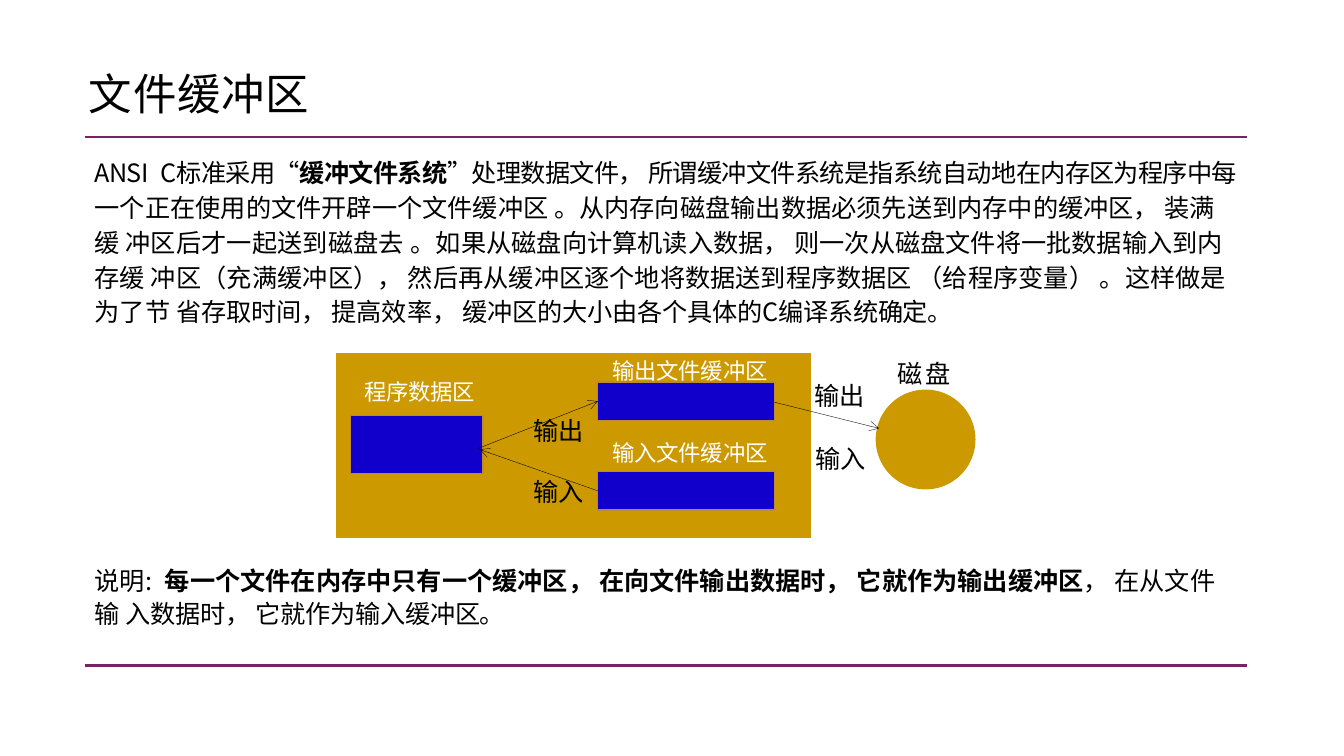
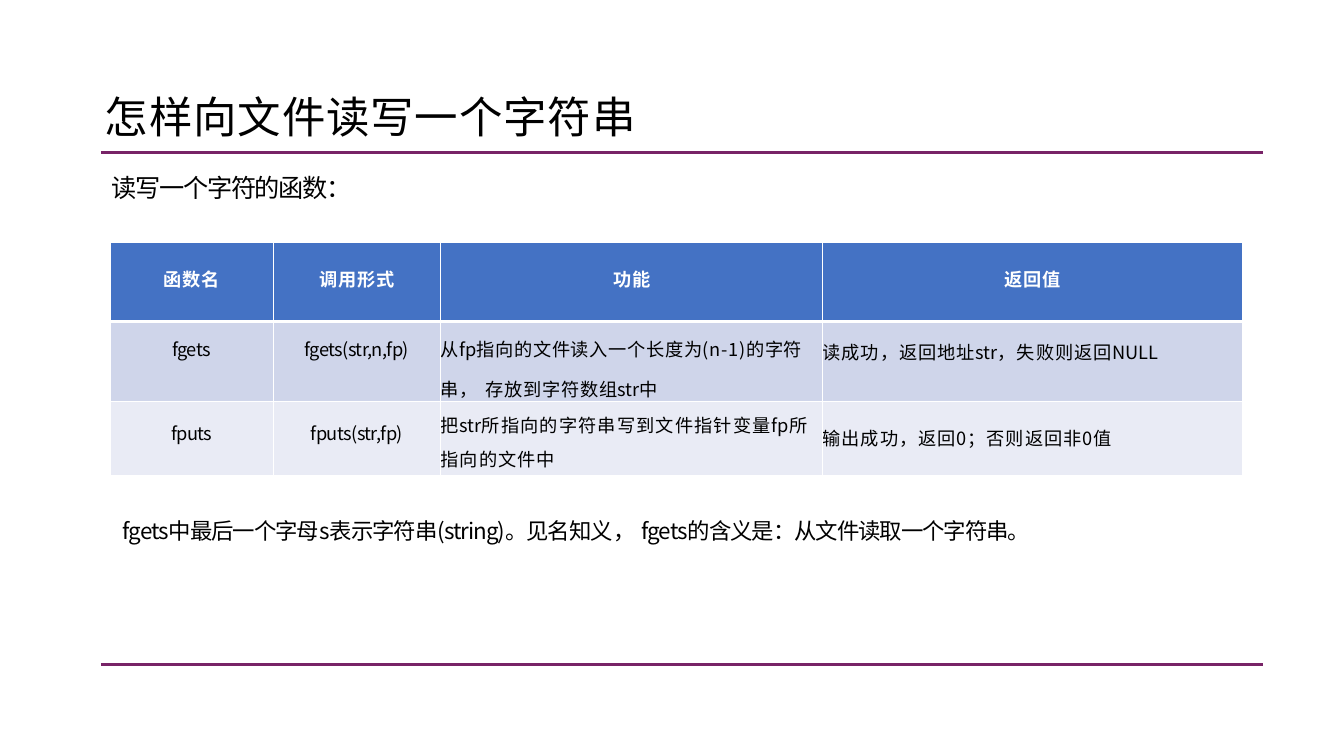
from lxml import etree
from pptx import Presentation
from pptx import util as u
from pptx.dml.color import RGBColor
from pptx.enum import shapes, text
from pptx.oxml.ns import qn

FONT = "Noto Sans CJK SC"
BLACK, WHITE = "000000", "FFFFFF"
PURPLE, GOLD, BLUE, BROWN = "782367", "CC9900", "1100CC", "BC8A32"
HEADER_FILL, ROW_FILLS = "4472C4", ("CFD5EA", "E9EBF5")
RULE_WIDTH = 11.53
LEFT, CENTER = text.PP_ALIGN.LEFT, text.PP_ALIGN.CENTER

BUFFER_TEXT = [
    ("ANSI", {"spacing": -0.5}),
    (" ", {"spacing": 4.5}),
    ("C标准采用“", {"spacing": -0.5}),
    ("缓冲文件系统", {"spacing": -0.5, "bold": True}),
    ("”处理数据文件， 所谓缓冲文件系统是指系统自动地", {"spacing": -0.5}),
    ("在内存区为程序中每", {"spacing": -0.6}),
    (" 一个正在使用的文件开辟一个文件缓冲区 。从内存向磁盘输出数据必须先送到内存中的缓冲区， 装满缓 ", {}),
    ("冲区后才一起送到磁盘去 。如", {"spacing": 0.1}),
    ("果从磁盘向计算机读入数据， 则一次从磁盘文件将一批数据输入到内存缓 ", {}),
    ("冲区（充满缓冲区", {"spacing": 0.1}),
    ("）， ", {"spacing": -0.7}),
    ("然", {"spacing": 0.1}),
    ("后再从缓冲区逐个地将数据送到程序数据区 （给程序变量） 。这样做是为了节 ", {}),
    ("省存取时间， 提高效率， 缓", {"spacing": -0.1}),
    ("冲区的大小由各个具体的C编译系统确定。", {"spacing": -0.2}),
]
NOTE_TEXT = [
    ("说明:", {}),
    (" ", {"spacing": 5}),
    ("每一个文件在内存中只有一个缓冲区， 在向文件输出数据时， 它就作为输出缓冲区", {"bold": True}),
    ("， 在从文件输 ", {}),
    ("入数据时， 它就作为输入缓冲区。", {"spacing": -0.2}),
]
NAMING_TEXT = [
    ("fgets中最后一个字母s表示字符串(string)。见名知义", {}),
    ("， ", {"spacing": 0.5}),
    ("fgets的含义是：从文件读取一个字符串。", {}),
]


def color(value):
    return RGBColor.from_string(value)


def place(shape, left, top, width, height):
    shape.left, shape.top = u.Inches(left), u.Inches(top)
    shape.width, shape.height = u.Inches(width), u.Inches(height)


def write(frame, content, size=18, ink=BLACK, bold=False, spacing=0,
          align=LEFT, pitch=None):
    """Fill a frame with one paragraph; content is a string or (text, format) runs."""
    frame.word_wrap = True
    frame.margin_left = frame.margin_top = frame.margin_right = frame.margin_bottom = 0
    frame.vertical_anchor = text.MSO_ANCHOR.TOP
    paragraph = frame.paragraphs[0]
    properties = paragraph._p.get_or_add_pPr()
    properties.set("marL", "0")
    properties.set("indent", "0")
    etree.SubElement(properties, qn("a:buNone"))
    paragraph.alignment = align
    paragraph.space_before = u.Pt(0)
    paragraph.line_spacing = u.Pt(pitch or size * 1.2)
    runs = [(content, {})] if isinstance(content, str) else content
    for words, options in runs:
        run = paragraph.add_run()
        run.text = words
        run.font.size = u.Pt(size)
        run.font.bold = options.get("bold", bold)
        run.font.color.rgb = color(ink)
        run.font.name = FONT
        run_properties = run.font._element
        run_properties.set("spc", str(round(options.get("spacing", spacing) * 100)))
        etree.SubElement(run_properties, qn("a:ea"), typeface=FONT)


def add_text(slide, content, left, top, width, height=0.3, **style):
    box = slide.shapes.add_textbox(0, 0, 0, 0)
    place(box, left, top, width, height)
    write(box.text_frame, content, **style)


def fill_placeholder(placeholder, content, box, **style):
    place(placeholder, *box)
    placeholder.text_frame.auto_size = text.MSO_AUTO_SIZE.NONE
    write(placeholder.text_frame, content, **style)


def add_gold_block(slide, kind, left, top, width, height):
    shape = slide.shapes.add_shape(kind, 0, 0, 0, 0)
    place(shape, left, top, width, height)
    shape.shadow.inherit = False
    shape.fill.solid()
    shape.fill.fore_color.rgb = color(GOLD)
    shape.line.color.rgb = color(GOLD)
    shape.line.width = u.Pt(0.75)


def add_line(slide, start, end, stroke=BLACK, width=0.25, arrow=False):
    points = [u.Inches(value) for value in (*start, *end)]
    line = slide.shapes.add_connector(shapes.MSO_CONNECTOR.STRAIGHT, *points)
    line.line.color.rgb = color(stroke)
    line.line.width = u.Pt(width)
    if arrow:
        etree.SubElement(line.line._ln, qn("a:tailEnd"), type="arrow")
    etree.SubElement(line._element.spPr, qn("a:effectLst"))


def add_table(slide, left, top, widths, heights):
    frame = slide.shapes.add_table(
        len(heights), len(widths), u.Inches(left), u.Inches(top),
        u.Inches(sum(widths)), u.Inches(sum(heights)))
    table = frame.table
    table.first_row = table.horz_banding = False
    for column, width in zip(table.columns, widths):
        column.width = u.Inches(width)
    for row, height in zip(table.rows, heights):
        row.height = u.Inches(height)
    return table


def paint_cell(cell, fill, border, bottom=1):
    """Give a cell its fill and four borders, and no margins."""
    properties = cell._tc.get_or_add_tcPr()
    for side, width in (("L", 1), ("R", 1), ("T", 1), ("B", bottom)):
        line = etree.SubElement(properties, qn("a:ln" + side), w=str(u.Pt(width)))
        solid = etree.SubElement(line, qn("a:solidFill"))
        etree.SubElement(solid, qn("a:srgbClr"), val=border)
    cell.fill.solid()
    cell.fill.fore_color.rgb = color(fill)
    cell.margin_left = cell.margin_top = cell.margin_right = cell.margin_bottom = 0


def fill_cell(cell, content, fill, top=0, bottom=1, **style):
    write(cell.text_frame, content, size=13, **style)
    paint_cell(cell, fill, WHITE, bottom)
    cell.margin_top = u.Inches(top)
    if style.get("align", LEFT) == LEFT:
        cell.margin_right = u.Inches(0.05)
    cell.vertical_anchor = text.MSO_ANCHOR.TOP


def add_ruled_slide(presentation, title, left, title_top, rules):
    """Add a slide with its title and the two purple rules."""
    slide = presentation.slides.add_slide(presentation.slide_layouts[1])
    fill_placeholder(slide.shapes.title, title, (left + 0.04, title_top, 11.4, 0.55),
                     size=31, spacing=0.7)
    for y in rules:
        add_line(slide, (left, y), (left + RULE_WIDTH, y), stroke=PURPLE, width=2)
    return slide


def add_buffer_diagram(slide, left, top):
    add_gold_block(slide, shapes.MSO_SHAPE.RECTANGLE, left, top, 4.7, 1.82)
    add_gold_block(slide, shapes.MSO_SHAPE.OVAL, left + 5.35, top + 0.36, 0.98, 0.98)
    for x, y, width, height in ((2.59, 0.28, 1.75, 0.38),
                                (0.14, 0.61, 1.31, 0.58),
                                (2.59, 1.17, 1.75, 0.38)):
        area = add_table(slide, left + x, top + y, [width], [height])
        paint_cell(area.cell(0, 0), BLUE, BROWN)

    for words, x, y, width in (("程序数据区", 0.06, 0.24, 1.52),
                               ("输出文件缓冲区", 2.46, 0.03, 2.09),
                               ("输入文件缓冲区", 2.46, 0.85, 2.09)):
        add_text(slide, words, left + x, top + y, width,
                 size=16, ink=WHITE, spacing=-0.2, align=CENTER)
    for words, x, y, spacing in (("输出", 1.95, 0.61, -0.3), ("输入", 1.95, 1.22, -0.3),
                                 ("输出", 4.74, 0.26, -0.3), ("输入", 4.75, 0.89, -0.4),
                                 ("磁盘", 5.56, 0.05, 2.4)):
        add_text(slide, words, left + x, top + y, 0.65, spacing=spacing)

    for x1, y1, x2, y2 in ((4.34, 0.48, 5.38, 0.74),
                           (1.4, 0.94, 2.59, 0.47),
                           (2.59, 1.36, 1.42, 0.95)):
        add_line(slide, (left + x1, top + y1), (left + x2, top + y2), arrow=True)


def add_function_table(slide, left, top):
    table = add_table(slide, left, top, (1.62, 1.66, 3.79, 4.16), (0.79, 0.73, 0.73))
    headings = (("函数名", 0.3), ("调用形式", 0.7), ("功能", 0.6), ("返回值", 0.6))
    for index, (heading, spacing) in enumerate(headings):
        fill_cell(table.cell(0, index), heading, HEADER_FILL, top=0.28, bottom=3,
                  ink=WHITE, bold=True, spacing=spacing, align=CENTER)

    name = {"align": CENTER, "spacing": -0.4}
    plain = {"spacing": 0}
    rows = (
        (("fgets", {"top": 0.18, **name}),
         ("fgets(str,n,fp)", {"top": 0.18, **name}),
         ([("从", {}), ("fp", plain), ("指向的文件读入一个长度为(n-1)的字符串", {}),
           ("， ", {"spacing": 1.5}), ("存放到字符数组", {}), ("str", plain), ("中", {})],
          {"spacing": 0.5, "pitch": 28.6}),
         ([("读成功，返回地址", {}), ("str", plain), ("，失败则返回", {}), ("NULL", plain)],
          {"top": 0.21, "spacing": 0.7})),
        (("fputs", {"top": 0.22, **name}),
         ("fputs(str,fp)", {"top": 0.22, **name}),
         ([("把", {}), ("str", plain), ("所指向的字符串写到文件指针变量", {}),
           ("fp", plain), ("所指向的文件中", {"spacing": 0.8})],
          {"spacing": 0.85, "pitch": 24.3, "top": 0.02}),
         ("输出成功，返回0；否则返回非0值", {"top": 0.27, "spacing": 0.7})),
    )
    for row_index, (row, fill) in enumerate(zip(rows, ROW_FILLS), 1):
        for column_index, (content, style) in enumerate(row):
            fill_cell(table.cell(row_index, column_index), content, fill, **style)


def build_buffer_slide(presentation):
    slide = add_ruled_slide(presentation, "文件缓冲区", 0.84, 0.67, (1.36, 6.6))
    fill_placeholder(slide.placeholders[1], BUFFER_TEXT, (0.94, 1.52, 11.33, 1.75), pitch=24.8)
    add_buffer_diagram(slide, 3.34, 3.51)
    add_text(slide, NOTE_TEXT, 0.94, 5.58, 11.36, 0.67, pitch=23.6)


def build_string_slide(presentation):
    slide = add_ruled_slide(presentation, "怎样向文件读写一个字符串", 1, 0.89, (1.51, 6.59))
    fill_placeholder(slide.placeholders[1], "读写一个字符的函数：", (1.11, 1.71, 2.45, 0.31),
                     spacing=-1)
    add_function_table(slide, 1.09, 2.4)
    add_text(slide, NAMING_TEXT, 1.22, 5.13, 9.8, size=16, spacing=-0.7)


def main():
    presentation = Presentation()
    presentation.slide_width, presentation.slide_height = u.Inches(13.33), u.Inches(7.5)
    build_buffer_slide(presentation)
    build_string_slide(presentation)
    presentation.save("out.pptx")


if __name__ == "__main__":
    main()
